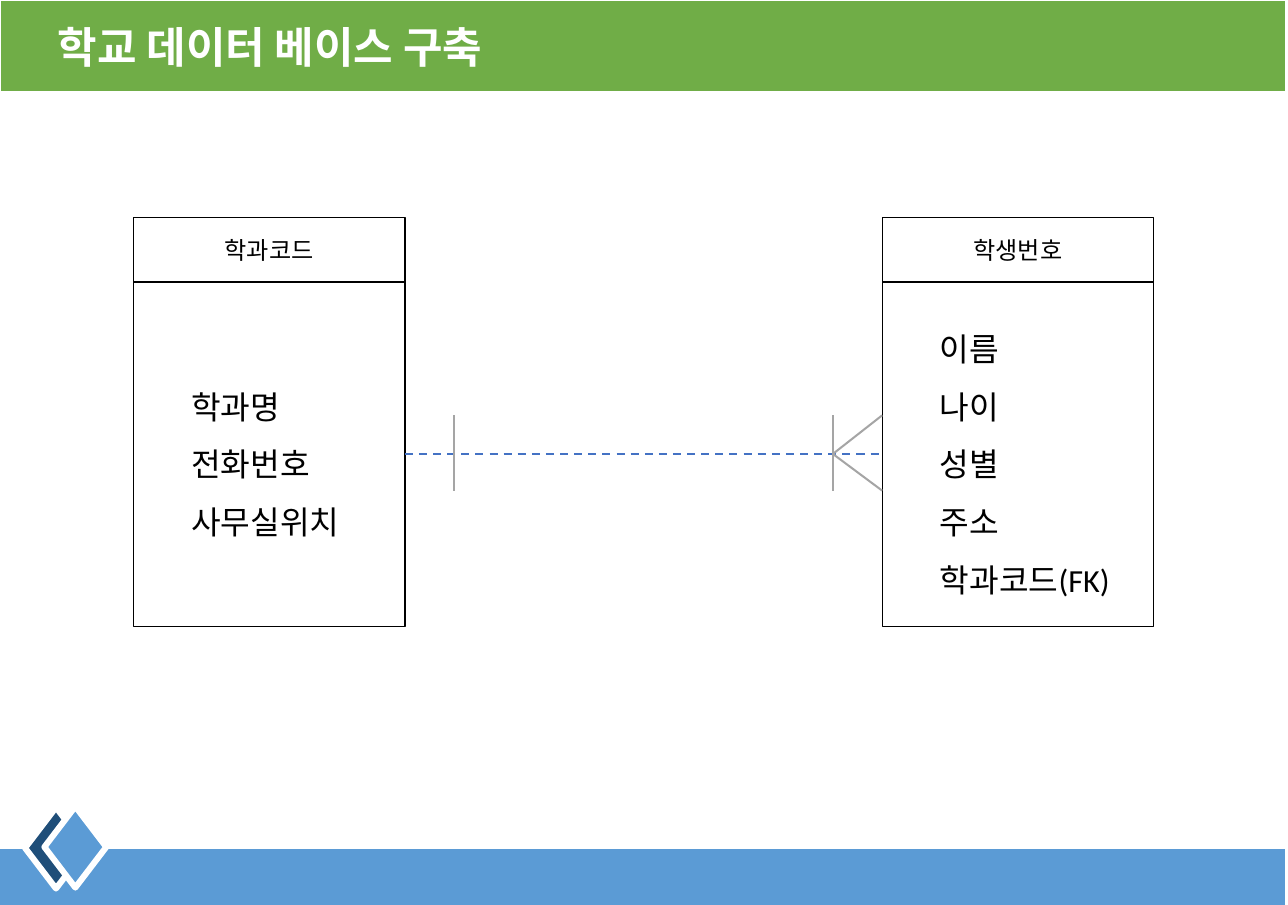
from pptx import Presentation
from pptx.dml.color import RGBColor
from pptx.enum.dml import MSO_LINE
from pptx.enum.shapes import MSO_CONNECTOR, MSO_SHAPE
from pptx.enum.text import MSO_ANCHOR, PP_ALIGN
from pptx.util import Inches, Pt
from lxml.etree import SubElement
from pptx.oxml.ns import qn

COLORS = {
    "white": "FFFFFF",
    "black": "000000",
    "header": "70AD47",
    "footer": "5B9BD5",
    "navy": "1F4E79",
    "relation": "4472C4",
    "mark": "A5A5A5",
}
ENTITY_WIDTH = 2.81
KEY_TOP, KEY_HEIGHT = 2.25, 0.67
FIELDS_HEIGHT = 3.57
MARK_TOP, RELATION_Y, MARK_BOTTOM = 4.3, 4.7, 5.08
MARK_GAP = 0.51


def color(name):
    return RGBColor.from_string(COLORS[name])


def add_block(page, kind, bounds, fill, line, line_width):
    block = page.shapes.add_shape(kind, *map(Inches, bounds))
    block.shadow.inherit = False
    block.fill.solid()
    block.fill.fore_color.rgb = color(fill)
    block.line.color.rgb = color(line)
    block.line.width = Pt(line_width)
    return block


def write_text(block, lines, font, size, ink, bold=False, level=0, spacing=1.0):
    frame = block.text_frame
    frame.word_wrap = True
    frame.vertical_anchor = MSO_ANCHOR.MIDDLE
    frame.text = "\n".join(lines)
    for para in frame.paragraphs:
        para.level = level
        para.alignment = PP_ALIGN.LEFT if level else PP_ALIGN.CENTER
        para.line_spacing = spacing
        for span in para.runs:
            span.font.name = font
            span.font.size = Pt(size)
            span.font.bold = bold
            span.font.color.rgb = color(ink)


def add_line(page, start, end, ink, dash=None):
    line = page.shapes.add_connector(
        MSO_CONNECTOR.STRAIGHT, *map(Inches, (*start, *end)))
    line.line.color.rgb = color(ink)
    line.line.width = Pt(1.5)
    if dash:
        line.line.dash_style = dash
    SubElement(line._element.spPr, qn("a:effectLst"))


def add_entity(page, left, key, fields):
    parts = [
        (KEY_TOP + KEY_HEIGHT, FIELDS_HEIGHT, fields, 24, 1, 1.5),
        (KEY_TOP, KEY_HEIGHT, [key], 18, 0, 1.0),
    ]
    for top, height, lines, size, level, spacing in parts:
        block = add_block(page, MSO_SHAPE.FLOWCHART_PROCESS,
                          (left, top, ENTITY_WIDTH, height), "white", "black", 1)
        write_text(block, lines, "Calibri", size, "black",
                   level=level, spacing=spacing)


def add_relation(page, left, right):
    add_line(page, (left, RELATION_Y), (right, RELATION_Y),
             "relation", MSO_LINE.DASH)
    fork = right - MARK_GAP
    for x in (left + MARK_GAP, fork):
        add_line(page, (x, MARK_TOP), (x, MARK_BOTTOM), "mark")
    for y in (MARK_TOP, MARK_BOTTOM):
        add_line(page, (right, y), (fork, RELATION_Y), "mark")


def add_header(page, title):
    header = add_block(page, MSO_SHAPE.FLOWCHART_PROCESS,
                       (0, 0, 13.31, 0.95), "header", "white", 1.5)
    write_text(header, [title], "Arial", 32, "white", bold=True, level=1)


def add_footer(page):
    add_block(page, MSO_SHAPE.FLOWCHART_PROCESS,
              (-0.02, 8.78, 13.33, 0.62), "footer", "white", 1)
    for left, top, fill in ((0.26, 8.36, "navy"), (0.46, 8.35, "footer")):
        add_block(page, MSO_SHAPE.DIAMOND, (left, top, 0.64, 0.84),
                  fill, "white", 4.5)


def main():
    deck = Presentation()
    deck.slide_width, deck.slide_height = Inches(13.33), Inches(9.37)
    page = deck.slides.add_slide(deck.slide_layouts[6])
    department_left, student_left = 1.38, 9.13
    add_entity(page, department_left, "학과코드",
               ["학과명", "전화번호", "사무실위치"])
    add_entity(page, student_left, "학생번호",
               ["이름", "나이", "성별", "주소", "학과코드(FK)"])
    add_relation(page, department_left + ENTITY_WIDTH, student_left)
    add_header(page, "학교 데이터 베이스 구축")
    add_footer(page)
    deck.save("out.pptx")


main()
